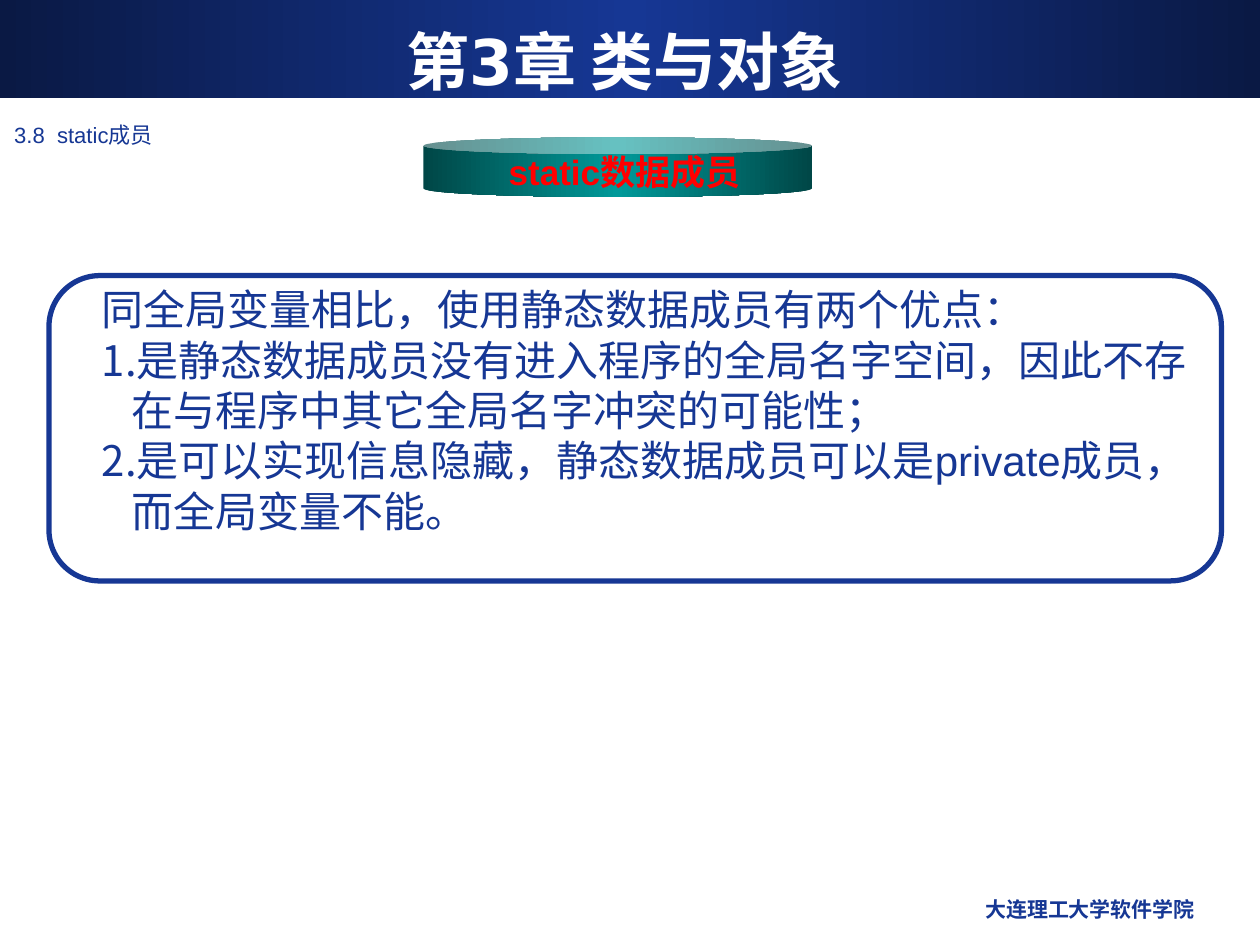
from copy import deepcopy
from lxml.etree import SubElement as Sub
from pptx import Presentation
from pptx.dml.color import RGBColor as Rgb
from pptx.enum.shapes import MSO_SHAPE as Kind
from pptx.enum.text import MSO_ANCHOR as Anchor, MSO_AUTO_SIZE as Fit, PP_ALIGN as Align
from pptx.oxml.ns import qn
from pptx.util import Pt

HUES = {"navy": "163794", "night": "0A1944", "teal": "009999",
        "deep": "004747", "red": "FF0000", "white": "FFFFFF"}


class Deck:
    """Holds the style and the current slide."""

    def __init__(self):
        self.prs = Presentation()
        self.prs.slide_width, self.prs.slide_height = Pt(720), Pt(540)
        self.slide = self.prs.slides.add_slide(self.prs.slide_layouts[1])

    def hue(self, name):
        return Rgb.from_string(HUES[name])

    def place(self, shape, box):
        shape.left, shape.top, shape.width, shape.height = map(Pt, box)

    def words(self, shape, text, size, hue="navy", face="Arial", bold=False,
              align=Align.LEFT, anchor=Anchor.TOP):
        frame = shape.text_frame
        frame.text = text
        frame.word_wrap = True
        frame.auto_size = Fit.NONE
        frame.vertical_anchor = anchor
        for para in frame.paragraphs:
            para.alignment = align
            para.space_before = Pt(0)
            for run in para.runs:
                font = run.font
                font.size, font.bold, font.name = Pt(size), bold, face
                font.color.rgb = self.hue(hue)
        return frame

    def shape(self, kind, box):
        shape = self.slide.shapes.add_shape(kind, *map(Pt, box))
        shape.shadow.inherit = False
        shape.line.fill.background()
        return shape

    def blend(self, kind, box, edge, core):
        shape = self.shape(kind, box)
        fill = shape.fill
        fill.gradient()
        fill.gradient_angle = 0
        stops = shape._element.spPr.find(".//" + qn("a:gsLst"))
        stops.append(deepcopy(stops[0]))
        for stop, spot, name in zip(fill.gradient_stops, (0, 0.5, 1), (edge, core, edge)):
            stop.position = spot
            stop.color.rgb = self.hue(name)
        return shape

    def frame(self, box):
        shape = self.shape(Kind.ROUNDED_RECTANGLE, box)
        shape.fill.background()
        shape.line.color.rgb = self.hue("navy")
        shape.line.width = Pt(3)

    def label(self, box, text, size, **style):
        shape = self.slide.shapes.add_textbox(*map(Pt, box))
        self.words(shape, text, size, **style)

    def title(self, box, text):
        shape = self.slide.shapes.title
        self.place(shape, box)
        self.words(shape, text, 36, "white", "DejaVu Sans", True, Align.CENTER, Anchor.MIDDLE)

    def points(self, box, lead, items):
        shape = self.slide.placeholders[1]
        self.place(shape, box)
        frame = self.words(shape, "\n".join([lead, *items]), 24)
        for rank, para in enumerate(frame.paragraphs):
            props = para._p.get_or_add_pPr()
            hang = Pt(17) if rank else 0
            props.set("marL", str(hang))
            props.set("indent", str(-hang))
            if rank:
                Sub(props, qn("a:buFont"), typeface="Arial")
                Sub(props, qn("a:buAutoNum"), type="arabicPeriod")
            else:
                Sub(props, qn("a:buNone"))

    def badge(self, box, text):
        shape = self.blend(Kind.CAN, box, "deep", "teal")
        shape.adjustments[0] = 0.28
        frame = self.words(shape, text, 20, "red", bold=True,
                           align=Align.CENTER, anchor=Anchor.MIDDLE)
        frame.margin_left = Pt(15)


def main():
    deck = Deck()
    band = deck.blend(Kind.RECTANGLE, (0, 0, 720, 56), "night", "navy")
    tree = deck.slide.shapes._spTree
    tree.insert(2, band._element)
    deck.title((24, 12, 666, 45), "第3章 类与对象")
    deck.label((462, 509, 228, 25), "大连理工大学软件学院", 12,
               face="DejaVu Sans", bold=True, align=Align.RIGHT)
    deck.label((1, 66, 666, 24), "3.8  static成员", 12.6)
    deck.frame((28, 157.5, 670, 174.5))
    deck.points((51, 158.5, 652, 180), "同全局变量相比，使用静态数据成员有两个优点：", [
        "是静态数据成员没有进入程序的全局名字空间，因此不存在与程序中其它全局名字冲突的可能性；",
        "是可以实现信息隐藏，静态数据成员可以是private成员，而全局变量不能。",
    ])
    deck.badge((242, 78.5, 222, 34), "static数据成员")
    deck.prs.save("out.pptx")


if __name__ == "__main__":
    main()
